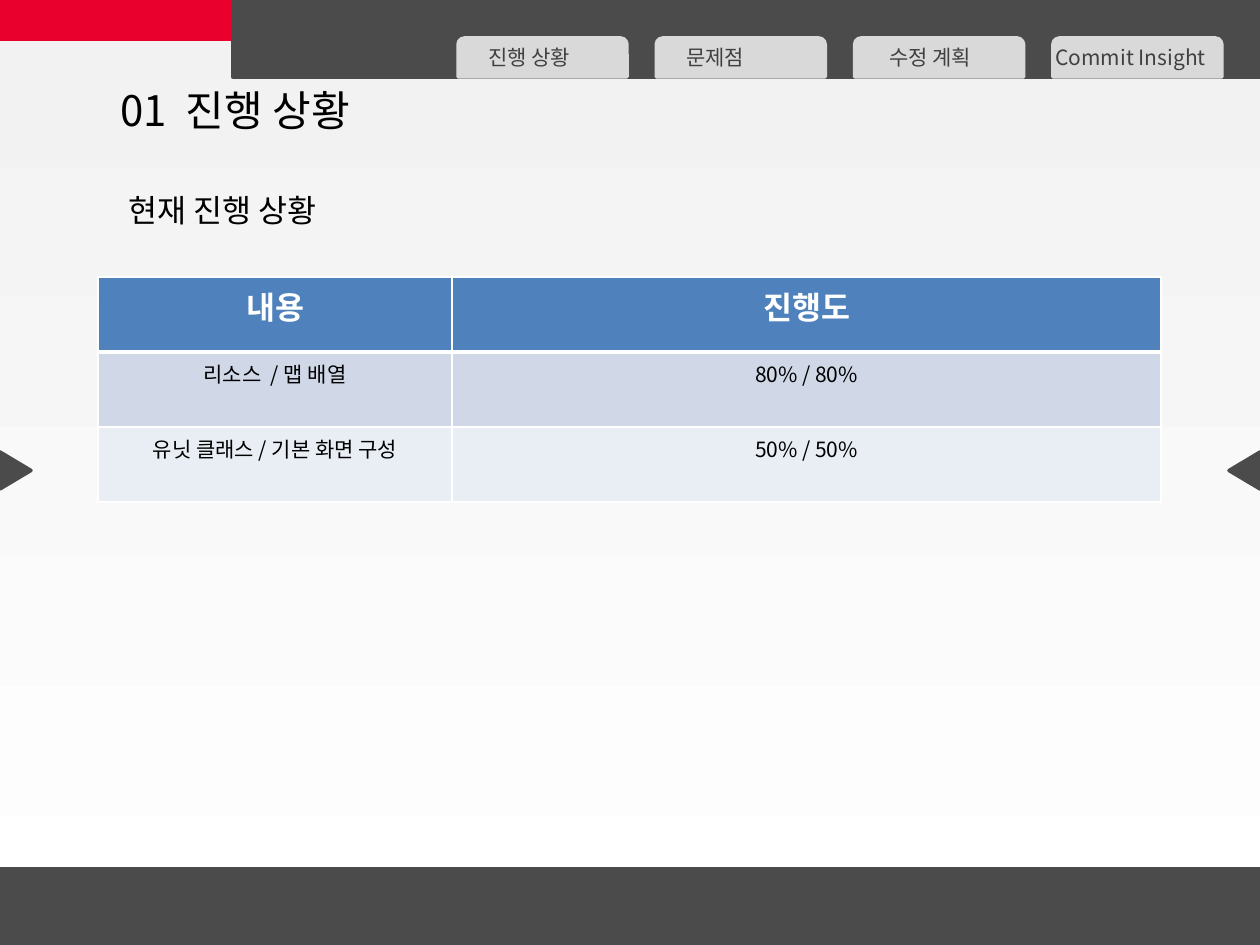
from lxml.etree import SubElement
from pptx import Presentation
from pptx.dml.color import RGBColor
from pptx.enum.shapes import MSO_SHAPE as Shape
from pptx.enum.text import MSO_AUTO_SIZE as AutoSize, PP_ALIGN as Align
from pptx.oxml.ns import qn
from pptx.util import Emu, Pt

FONT = "Noto Sans CJK KR"
RED, DARK, TAB, TAB_TEXT = "EA002C", "4B4B4B", "D9D9D9", "404040"
BLACK, WHITE = "000000", "FFFFFF"

BARS = [
    ((0, 1, 233, 38), RED),
    ((0, 869, 1265, 76), DARK),
    ((233, 1, 1032, 76), DARK),
]
ARROWS = [(-3, 90), (1226, 270)]
TABS = [
    ("진행 상황", 476, 117),
    ("문제점", 674, 89),
    ("수정 계획", 877, 117),
    ("Commit Insight", 1043, 178),
]
HEADINGS = [
    ("현재 진행 상황", (116, 185, 239, 50), 18),
    ("01  진행 상황", (108, 78, 273, 63), 24),
]
ROWS = [
    ("내용", "진행도"),
    ("리소스  / 맵 배열", "80% / 80%"),
    ("유닛 클래스 / 기본 화면 구성", "50% / 50%"),
]
ROW_FILLS = ["4F81BD", "D0D8E8", "E9EDF4"]
COLUMNS = [354, 709]
ROW_HEIGHT = 75


def px(value):
    return Emu(round(value * 914400 / 126))


def rgb(value):
    return RGBColor.from_string(value)


def add_block(kind, place, color, rotation=0):
    block = page.shapes.add_shape(kind, *map(px, place))
    block.shadow.inherit = False
    block.fill.solid()
    block.fill.fore_color.rgb = rgb(color)
    block.line.color.rgb = rgb(color)
    block.line.width = Pt(2)
    block.rotation = rotation


def write(frame, text, size, color, bold=False, align=Align.LEFT):
    para = frame.paragraphs[0]
    para.text = text
    para.alignment = align
    font = para.font
    font.name, font.size, font.bold = FONT, Pt(size), bold
    font.color.rgb = rgb(color)


def add_label(text, place, size, color):
    box = page.shapes.add_textbox(*map(px, place))
    box.text_frame.word_wrap = False
    box.text_frame.auto_size = AutoSize.SHAPE_TO_FIT_TEXT
    write(box.text_frame, text, size, color)


def add_borders(cell, bottom):
    props = cell._tc.get_or_add_tcPr()
    widths = {"a:lnL": 1, "a:lnR": 1, "a:lnT": 1, "a:lnB": bottom}
    for index, (tag, width) in enumerate(widths.items()):
        line = SubElement(props, qn(tag), w=str(Pt(width)))
        SubElement(SubElement(line, qn("a:solidFill")), qn("a:srgbClr"), val=WHITE)
        props.insert(index, line)


deck = Presentation()
deck.slide_width, deck.slide_height = px(1260), px(945)
page = deck.slides.add_slide(deck.slide_layouts[6])

backdrop = page.background.fill
backdrop.gradient()
backdrop.gradient_angle = 270
for stop, position, color in zip(backdrop.gradient_stops, (0.04, 1), ("F2F2F2", WHITE)):
    stop.position = position
    stop.color.rgb = rgb(color)

for place, color in BARS:
    add_block(Shape.RECTANGLE, place, color)
for left, rotation in ARROWS:
    add_block(Shape.ISOSCELES_TRIANGLE, (left, 455, 37, 31), DARK, rotation)
for index, (text, left, width) in enumerate(TABS):
    add_block(Shape.ROUND_2_SAME_RECTANGLE, (458 + 198.3 * index, 38, 169, 39), TAB)
    add_label(text, (left, 38, width, 38), 12, TAB_TEXT)
for text, place, size in HEADINGS:
    add_label(text, place, size, BLACK)

table = page.shapes.add_table(
    len(ROWS), len(COLUMNS), px(98), px(277), px(sum(COLUMNS)), px(ROW_HEIGHT * len(ROWS))
).table
for column, width in zip(table.columns, COLUMNS):
    column.width = px(width)
for index, (texts, fill) in enumerate(zip(ROWS, ROW_FILLS)):
    header = index == 0
    for cell, text in zip(table.rows[index].cells, texts):
        cell.fill.solid()
        cell.fill.fore_color.rgb = rgb(fill)
        add_borders(cell, 3 if header else 1)
        write(cell.text_frame, text, 18 if header else 12,
              WHITE if header else BLACK, header, Align.CENTER)

deck.save("out.pptx")
